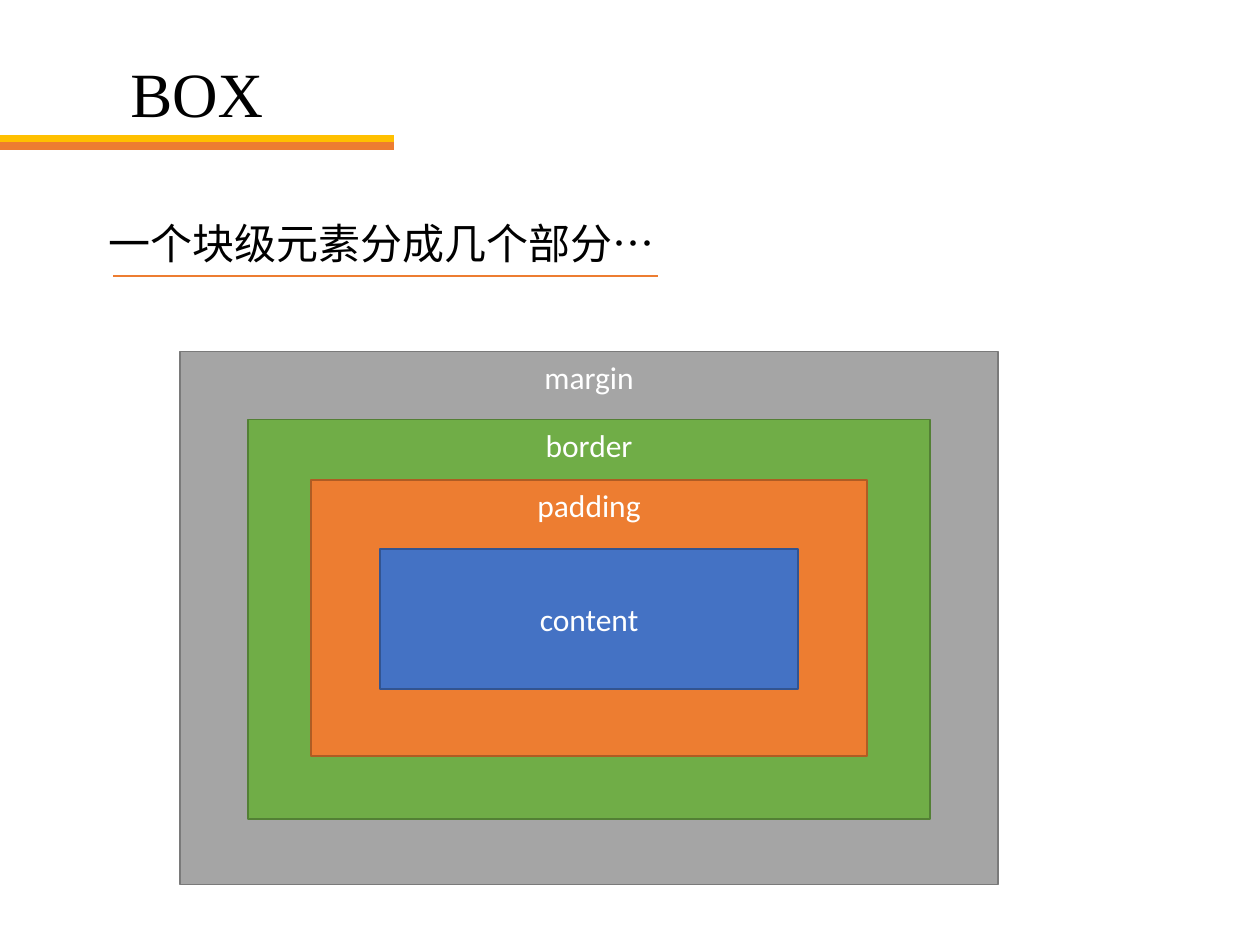
from lxml.etree import SubElement
from pptx import Presentation
from pptx.dml.color import RGBColor
from pptx.enum.shapes import MSO_CONNECTOR, MSO_SHAPE
from pptx.enum.text import MSO_ANCHOR, PP_ALIGN
from pptx.oxml.ns import qn
from pptx.util import Pt

BLACK = RGBColor(0x00, 0x00, 0x00)
WHITE = RGBColor(0xFF, 0xFF, 0xFF)
GOLD = RGBColor(0xFF, 0xC0, 0x00)
ORANGE = RGBColor(0xED, 0x7D, 0x31)
RUST = RGBColor(0xAF, 0x5C, 0x24)
GREY = RGBColor(0xA5, 0xA5, 0xA5)
SLATE = RGBColor(0x7A, 0x7A, 0x7A)
GREEN = RGBColor(0x70, 0xAD, 0x47)
MOSS = RGBColor(0x53, 0x80, 0x35)
BLUE = RGBColor(0x44, 0x72, 0xC4)
NAVY = RGBColor(0x32, 0x54, 0x91)

TITLE = "BOX"
LEAD = "一个块级元素分成几个部分…"
MID = 336.6
LAYERS = [
    ("margin", 200.9, 467.3, 304.6, GREY, SLATE, MSO_ANCHOR.TOP),
    ("border", 239.8, 389.5, 228.2, GREEN, MOSS, MSO_ANCHOR.TOP),
    ("padding", 274.3, 317.5, 157.7, ORANGE, RUST, MSO_ANCHOR.TOP),
    ("content", 313.9, 239, 79.9, BLUE, NAVY, MSO_ANCHOR.MIDDLE),
]
RULES = [
    (0, 224.9, 79.2, GOLD, 4.5),
    (0, 224.9, 83.5, ORANGE, 4.5),
    (64.8, 375.8, 157.7, ORANGE, 1),
]


def write(shape, text, size, font, color, align, anchor):
    frame = shape.text_frame
    frame.word_wrap = True
    frame.vertical_anchor = anchor
    para = frame.paragraphs[0]
    para.alignment = align
    run = para.add_run()
    run.text = text
    run.font.size = Pt(size)
    run.font.name = font
    run.font.color.rgb = color
    SubElement(run.font._element, qn("a:ea")).set("typeface", font)
    return para


def add_rule(shapes, left, right, y, color, width):
    rule = shapes.add_connector(
        MSO_CONNECTOR.STRAIGHT, Pt(left), Pt(y), Pt(right), Pt(y))
    rule.line.color.rgb = color
    rule.line.width = Pt(width)
    SubElement(rule._element.spPr, qn("a:effectLst"))


def add_layer(shapes, name, top, width, height, fill, edge, anchor):
    box = shapes.add_shape(
        MSO_SHAPE.RECTANGLE,
        Pt(MID - width / 2), Pt(top), Pt(width), Pt(height))
    box.shadow.inherit = False
    box.fill.solid()
    box.fill.fore_color.rgb = fill
    box.line.color.rgb = edge
    box.line.width = Pt(1)
    write(box, name, 18, "Calibri", WHITE, PP_ALIGN.CENTER, anchor)


def main():
    deck = Presentation()
    deck.slide_width, deck.slide_height = Pt(720), Pt(540)
    shapes = deck.slides.add_slide(deck.slide_layouts[6]).shapes

    for rule in RULES:
        add_rule(shapes, *rule)
    for layer in LAYERS:
        add_layer(shapes, *layer)

    title = shapes.add_textbox(Pt(0), Pt(30.2), Pt(224.9), Pt(51.1))
    para = write(title, TITLE, 36, "Times New Roman", BLACK,
                 PP_ALIGN.CENTER, MSO_ANCHOR.MIDDLE)
    para.line_spacing = 0.9

    lead = shapes.add_textbox(Pt(54.7), Pt(121), Pt(331.2), Pt(36))
    write(lead, LEAD, 24, "Noto Sans CJK SC", BLACK,
          PP_ALIGN.LEFT, MSO_ANCHOR.TOP)

    deck.save("out.pptx")


if __name__ == "__main__":
    main()
